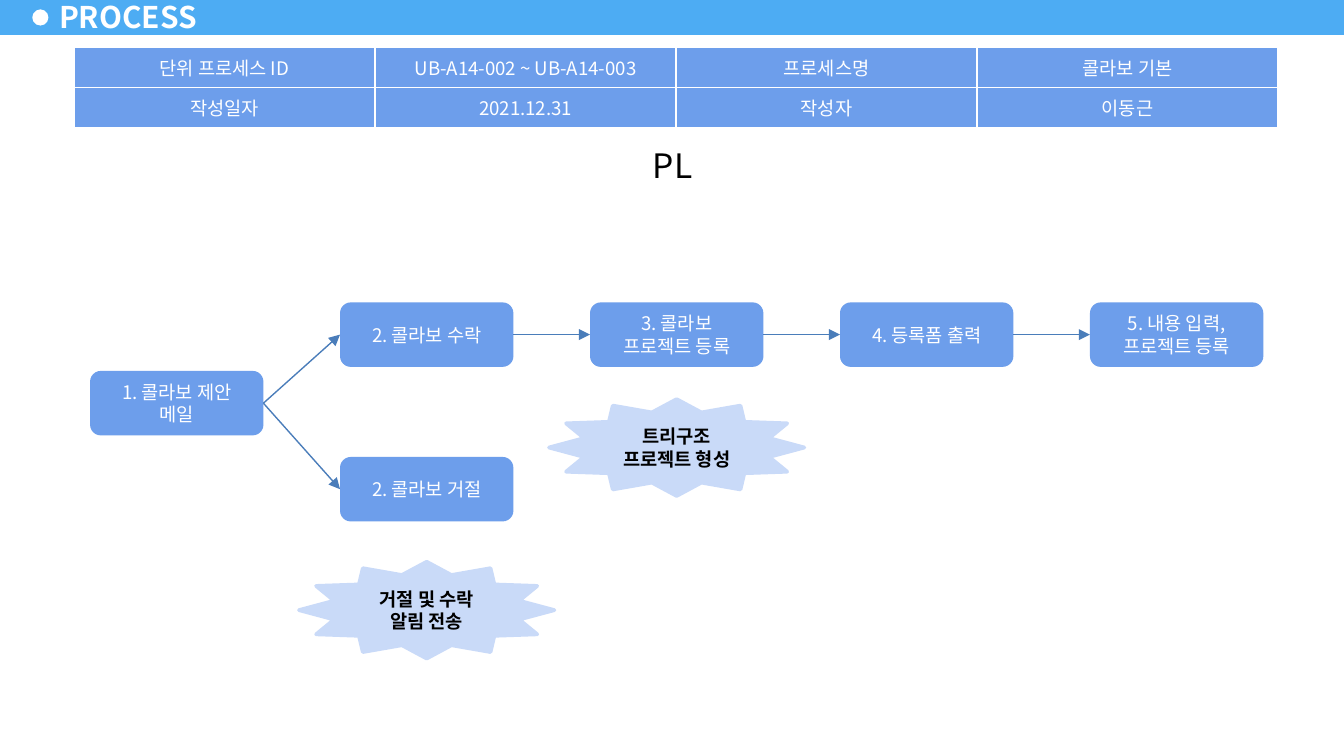
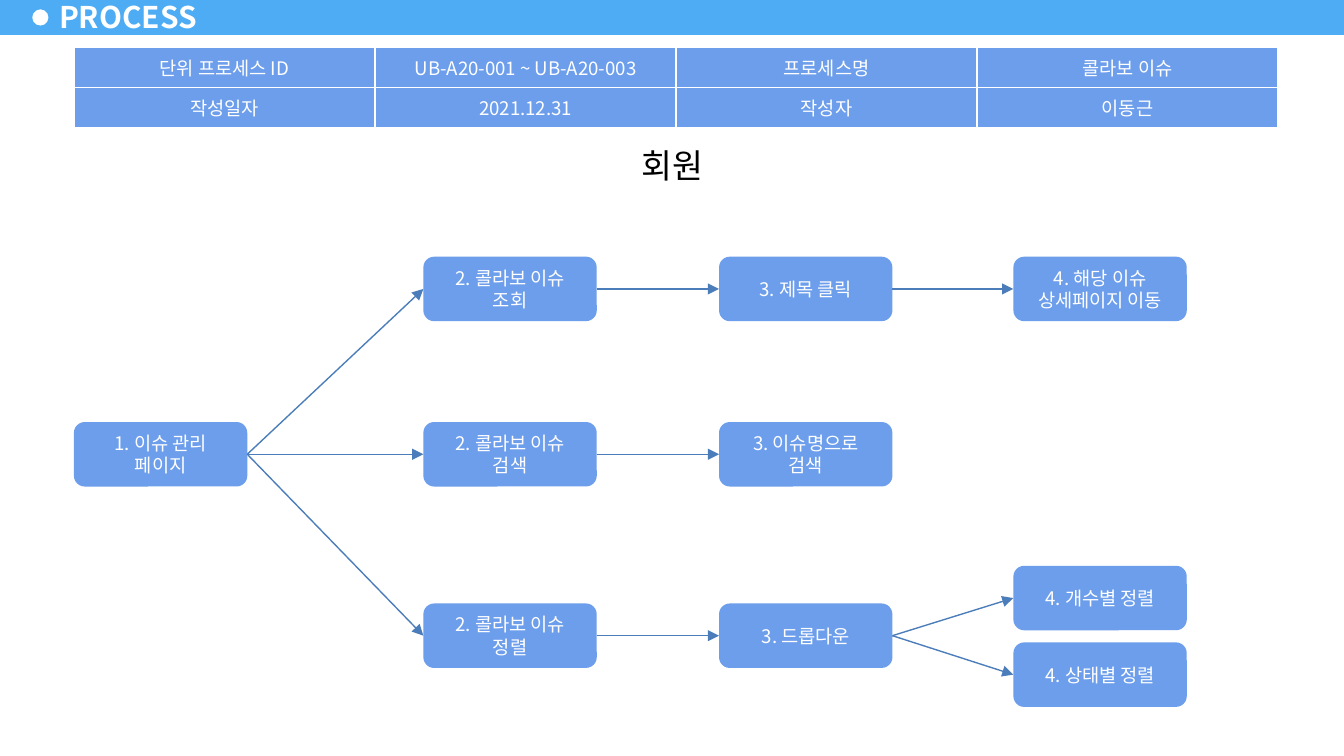
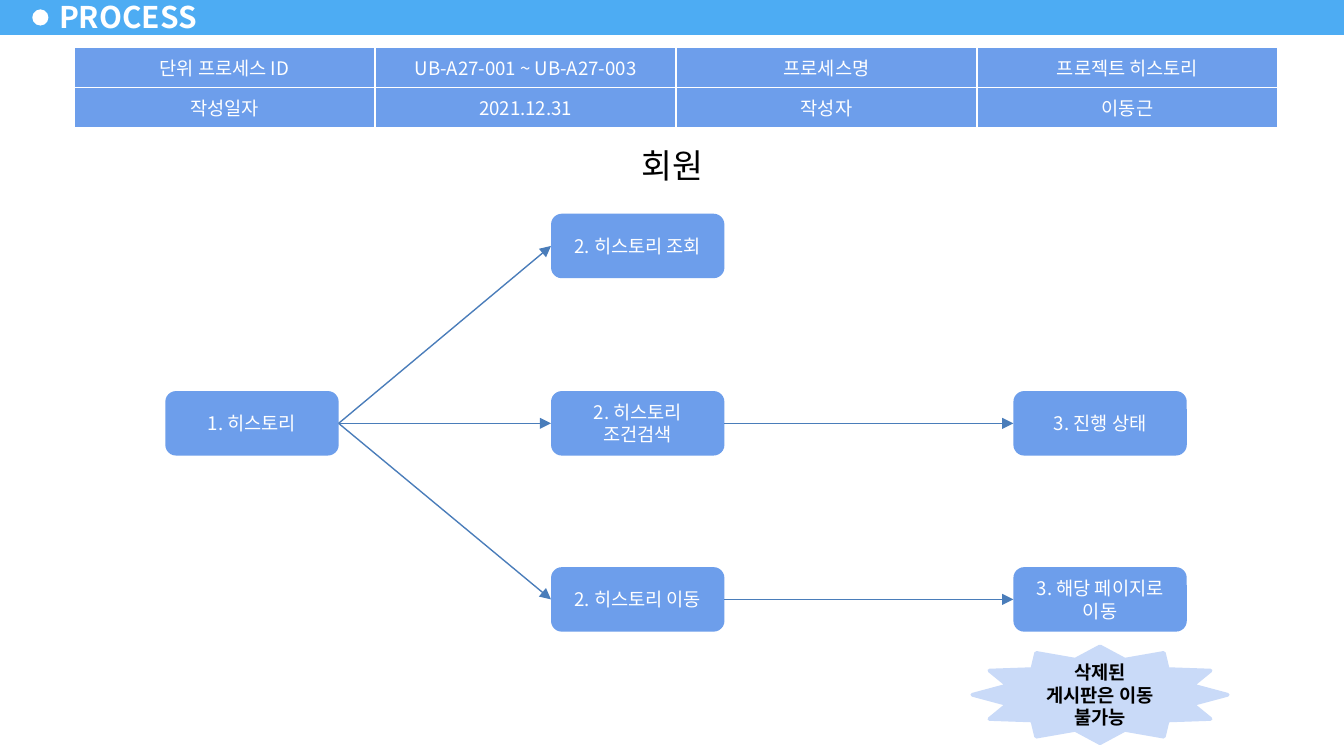
from collections import namedtuple

from lxml.etree import SubElement
from pptx import Presentation
from pptx.dml.color import RGBColor
from pptx.enum.shapes import MSO_CONNECTOR, MSO_SHAPE
from pptx.enum.text import MSO_ANCHOR as ANCHOR, MSO_AUTO_SIZE, PP_ALIGN as ALIGN
from pptx.oxml.ns import qn
from pptx.util import Inches, Pt

WHITE = RGBColor(0xFF, 0xFF, 0xFF)
BLACK = RGBColor(0x00, 0x00, 0x00)
BAND = RGBColor(0x4D, 0xAC, 0xF3)
STEP_BLUE = RGBColor(0x6D, 0x9E, 0xEB)
NOTE_BLUE = RGBColor(0xC9, 0xDA, 0xF8)
ARROW_BLUE = RGBColor(0x4A, 0x7D, 0xBA)
FONT = "Noto Sans CJK KR"
STEP_W, STEP_H = 1.29, 0.48
NOTE_W, NOTE_H = 1.9, 0.72
LEFT_SITE, RIGHT_SITE = 1, 3

Step = namedtuple("Step", "text x y after", defaults=[None])
Note = namedtuple("Note", "text step gap")
Process = namedtuple("Process", "ids name role steps notes")

COLLAB_X = [0.67 + 1.86 * i for i in range(5)]
ISSUE_X = [0.55, 3.15, 5.35, 7.54]
ISSUE_Y = [1.91, 3.14, 4.49]
HISTORY_X = [1.23, 4.1, 7.54]
HISTORY_Y = [1.59, 2.91, 4.22]

PROCESSES = [
    Process("UB-A14-002 ~ UB-A14-003", "콜라보 기본", "PL", [
        Step("1. 콜라보 제안 메일", COLLAB_X[0], 2.76),
        Step("2. 콜라보 수락", COLLAB_X[1], 2.25, 0),
        Step("2. 콜라보 거절", COLLAB_X[1], 3.4, 0),
        Step("3. 콜라보 프로젝트 등록", COLLAB_X[2], 2.25, 1),
        Step("4. 등록폼 출력", COLLAB_X[3], 2.25, 3),
        Step("5. 내용 입력, 프로젝트 등록", COLLAB_X[4], 2.25, 4),
    ], [Note("거절 및 수락 알림 전송", 2, 0.3), Note("트리구조 프로젝트 형성", 3, 0.24)]),
    Process("UB-A20-001 ~ UB-A20-003", "콜라보 이슈", "회원", [
        Step("1. 이슈 관리 페이지", ISSUE_X[0], ISSUE_Y[1]),
        Step("2. 콜라보 이슈 조회", ISSUE_X[1], ISSUE_Y[0], 0),
        Step("2. 콜라보 이슈 검색", ISSUE_X[1], ISSUE_Y[1], 0),
        Step("2. 콜라보 이슈 정렬", ISSUE_X[1], ISSUE_Y[2], 0),
        Step("3. 제목 클릭", ISSUE_X[2], ISSUE_Y[0], 1),
        Step("3. 이슈명으로 검색", ISSUE_X[2], ISSUE_Y[1], 2),
        Step("3. 드롭다운", ISSUE_X[2], ISSUE_Y[2], 3),
        Step("4. 해당 이슈 상세페이지 이동", ISSUE_X[3], ISSUE_Y[0], 4),
        Step("4. 개수별 정렬", ISSUE_X[3], 4.21, 6),
        Step("4. 상태별 정렬", ISSUE_X[3], 4.78, 6),
    ], []),
    Process("UB-A27-001 ~ UB-A27-003", "프로젝트 히스토리", "회원", [
        Step("1. 히스토리", HISTORY_X[0], HISTORY_Y[1]),
        Step("2. 히스토리 조회", HISTORY_X[1], HISTORY_Y[0], 0),
        Step("2. 히스토리 조건검색", HISTORY_X[1], HISTORY_Y[1], 0),
        Step("2. 히스토리 이동", HISTORY_X[1], HISTORY_Y[2], 0),
        Step("3. 진행 상태", HISTORY_X[2], HISTORY_Y[1], 2),
        Step("3. 해당 페이지로 이동", HISTORY_X[2], HISTORY_Y[2], 3),
    ], [Note("삭제된 게시판은 이동 불가능", 5, 0.11)]),
]


def write(tf, text, size=10, color=WHITE, bold=False, align=ALIGN.CENTER,
          anchor=ANCHOR.MIDDLE):
    """Fill a text frame with one formatted paragraph."""
    tf.word_wrap = True
    tf.vertical_anchor = anchor
    p = tf.paragraphs[0]
    p.alignment = align
    r = p.add_run()
    r.text = text
    r.font.size, r.font.bold, r.font.name = Pt(size), bold, FONT
    r.font.color.rgb = color
    SubElement(r.font._element, qn("a:ea"), typeface=FONT)


def add_box(slide, kind, x, y, w, h, fill, line=None):
    """Add a flat preset shape, outlined only when a line colour is given."""
    sp = slide.shapes.add_shape(kind, Inches(x), Inches(y), Inches(w), Inches(h))
    sp.shadow.inherit = False
    sp.fill.solid()
    sp.fill.fore_color.rgb = fill
    if line is None:
        sp.line.fill.background()
    else:
        sp.line.color.rgb = line
        sp.line.width = Pt(2)
    return sp


def move_band_to_layout(slide):
    """Draw the header band and its dot, then hand them to the slide's layout."""
    band = add_box(slide, MSO_SHAPE.RECTANGLE, 0, -0.02, 10, 0.28, BAND)
    dot = add_box(slide, MSO_SHAPE.OVAL, 0.24, 0.07, 0.12, 0.12, WHITE)
    tree = slide.slide_layout.shapes._spTree
    for i, sp in enumerate((band, dot)):
        tree.insert(2 + i, sp._element)


def add_title(slide):
    """Place the title placeholder on the header band."""
    sp = slide.shapes.title
    sp.left, sp.top = Inches(0.35), Inches(-0.04)
    sp.width, sp.height = Inches(1.22), Inches(0.32)
    tf = sp.text_frame
    tf.auto_size = MSO_AUTO_SIZE.NONE
    tf.margin_left = tf.margin_right = Inches(0.09)
    tf.margin_top = tf.margin_bottom = Inches(0.04)
    write(tf, "PROCESS", size=16, bold=True, align=ALIGN.LEFT)


def add_border(cell):
    """Give a cell white edges on all four sides."""
    pr = cell._tc.get_or_add_tcPr()
    for i, side in enumerate(("lnL", "lnR", "lnT", "lnB")):
        ln = pr.makeelement(qn(f"a:{side}"), {"w": str(Pt(1))})
        fill = SubElement(ln, qn("a:solidFill"))
        SubElement(fill, qn("a:srgbClr"), val=str(WHITE))
        pr.insert(i, ln)


def add_info_table(slide, process, x, y):
    """Add the table that identifies the process."""
    rows = [("단위 프로세스 ID", process.ids, "프로세스명", process.name),
            ("작성일자", "2021.12.31", "작성자", "이동근")]
    heights = (0.29, 0.28)
    table = slide.shapes.add_table(2, 4, Inches(x), Inches(y), Inches(8.96),
                                   Inches(sum(heights))).table
    for col in table.columns:
        col.width = Inches(2.24)
    for row, texts, height in zip(table.rows, rows, heights):
        row.height = Inches(height)
        for cell, text in zip(row.cells, texts):
            cell.fill.solid()
            cell.fill.fore_color.rgb = STEP_BLUE
            cell.margin_left = cell.margin_right = Inches(0.1)
            cell.margin_top = cell.margin_bottom = Inches(0.05)
            write(cell.text_frame, text)
            cell.vertical_anchor = ANCHOR.MIDDLE
            add_border(cell)


def add_role(slide, role):
    """Name the user role above the flow."""
    sp = add_box(slide, MSO_SHAPE.RECTANGLE, 3.97, 1.03, 2.07, 0.41, WHITE)
    write(sp.text_frame, role, size=18, color=BLACK, anchor=ANCHOR.TOP)
    sp.text_frame.auto_size = MSO_AUTO_SIZE.SHAPE_TO_FIT_TEXT


def add_arrow(slide, start, end):
    """Join the right side of one step to the left side of the next."""
    line = slide.shapes.add_connector(MSO_CONNECTOR.STRAIGHT, 0, 0, 0, 0)
    line.begin_connect(start, RIGHT_SITE)
    line.end_connect(end, LEFT_SITE)
    line.line.color.rgb = ARROW_BLUE
    line.line.width = Pt(0.75)
    SubElement(line.line._get_or_add_ln(), qn("a:tailEnd"), type="triangle")
    SubElement(line._element.spPr, qn("a:effectLst"))


def add_flow(slide, steps):
    """Add the steps, each with an arrow from the step it follows."""
    boxes = []
    for step in steps:
        sp = add_box(slide, MSO_SHAPE.ROUNDED_RECTANGLE, step.x, step.y,
                     STEP_W, STEP_H, STEP_BLUE)
        write(sp.text_frame, step.text)
        boxes.append(sp)
        if step.after is not None:
            add_arrow(slide, boxes[step.after], sp)


def add_note(slide, note, step):
    """Add a star note centred below a step."""
    x = step.x + (STEP_W - NOTE_W) / 2
    y = step.y + STEP_H + note.gap
    sp = add_box(slide, MSO_SHAPE.STAR_12_POINT, x, y, NOTE_W, NOTE_H,
                 NOTE_BLUE, line=NOTE_BLUE)
    write(sp.text_frame, note.text, color=BLACK, bold=True)


def add_process_slide(prs, layout, process):
    """Add one process slide."""
    slide = prs.slides.add_slide(layout)
    add_title(slide)
    add_info_table(slide, process, 0.55, 0.35)
    add_role(slide, process.role)
    add_flow(slide, process.steps)
    for note in process.notes:
        add_note(slide, note, process.steps[note.step])
    return slide


def main():
    """Build and save the deck."""
    prs = Presentation()
    prs.slide_width = Inches(10)
    prs.slide_height = prs.slide_width * 9 // 16
    layout = prs.slide_layouts.get_by_name("Title Only")
    slides = [add_process_slide(prs, layout, process) for process in PROCESSES]
    move_band_to_layout(slides[0])
    prs.save("out.pptx")


if __name__ == "__main__":
    main()
